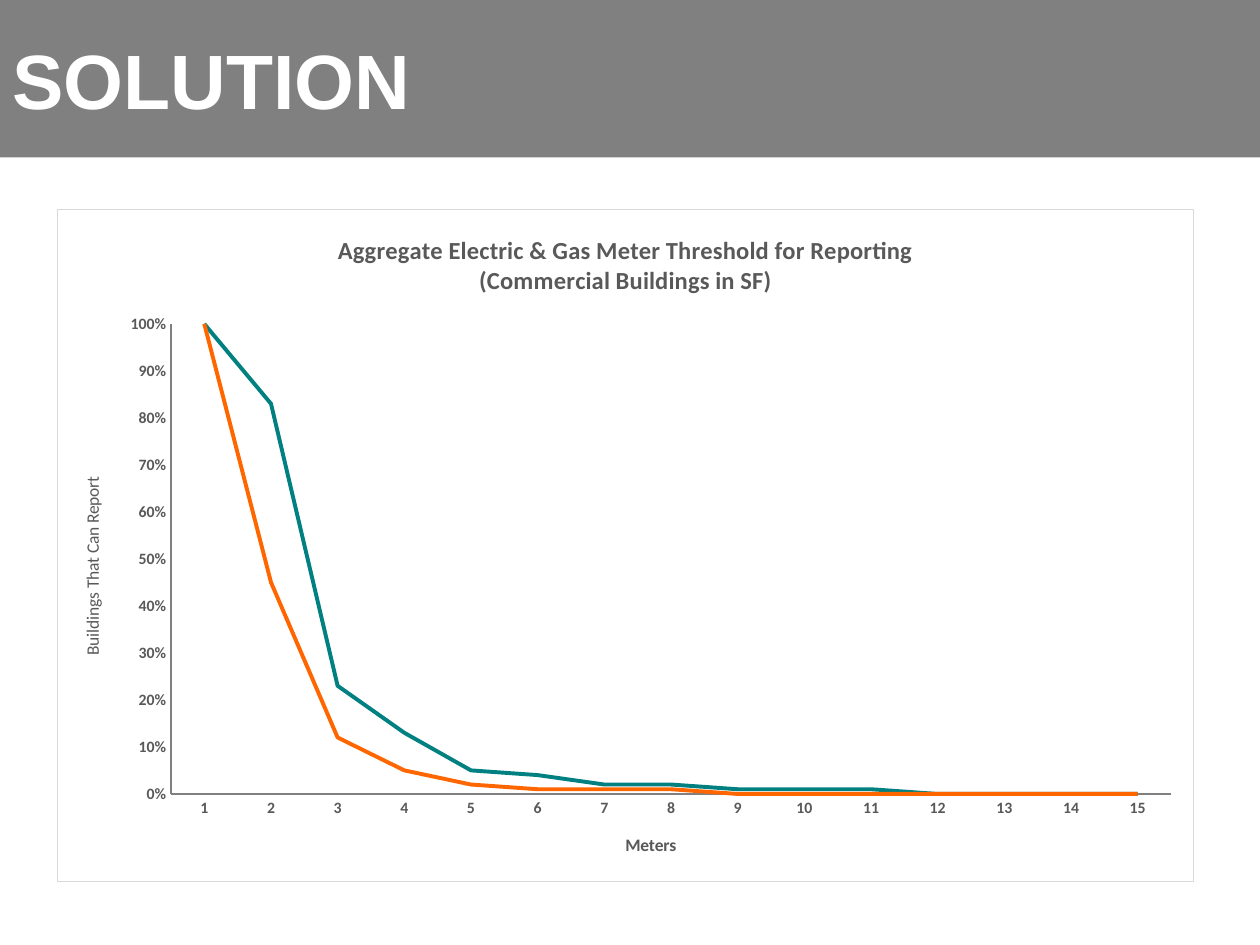
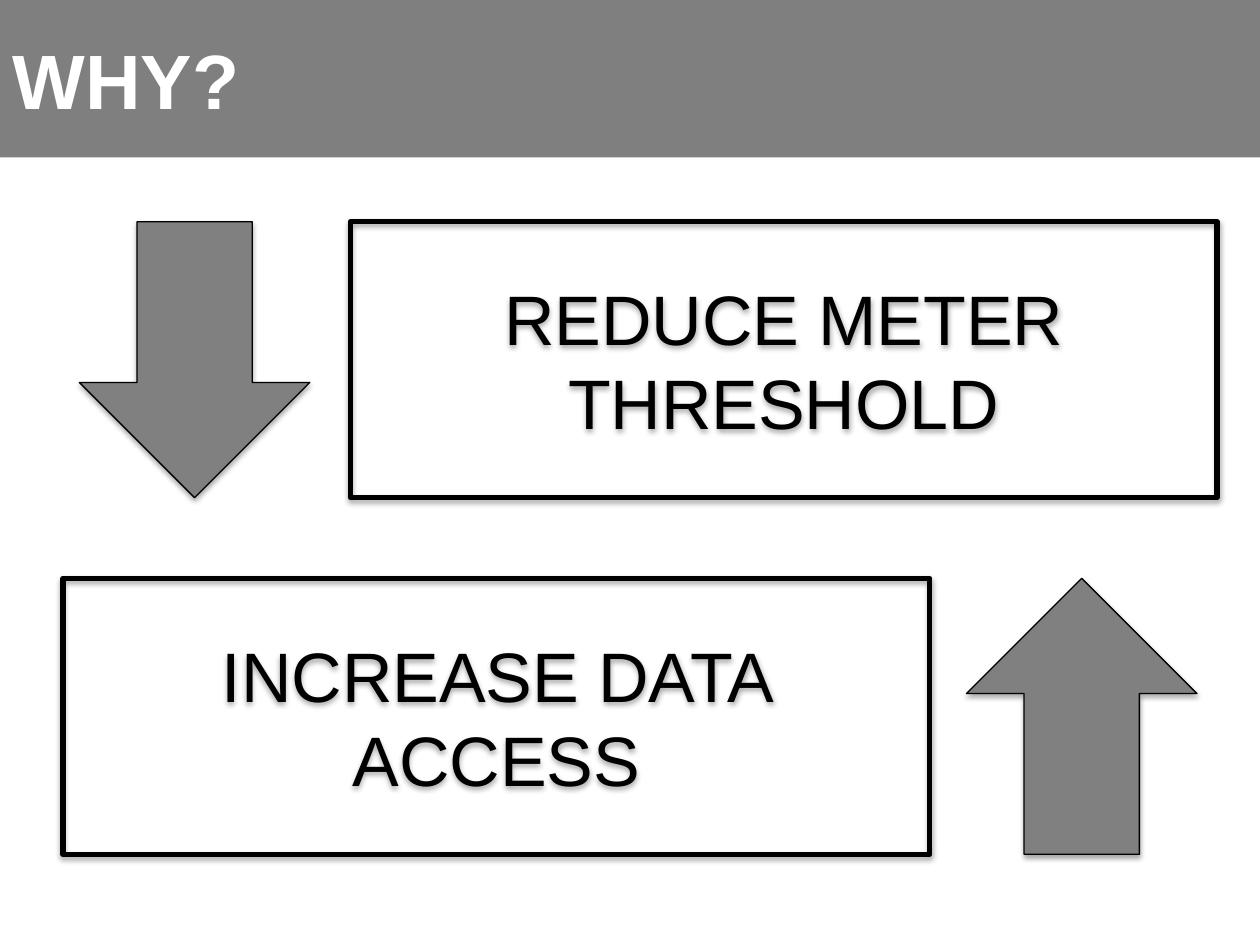
import pptx
import pptx.chart.data
import pptx.dml.color
import pptx.enum.chart
import pptx.enum.shapes
import pptx.enum.text
import pptx.oxml
import pptx.oxml.ns
import pptx.util
from pptx.util import Inches, Pt

COLORS = {
    "band": "808080", "why_band": "7F7F7F", "white": "FFFFFF", "black": "000000",
    "chart_text": "595959", "border": "D9D9D9", "teal": "008080", "orange": "FF6600",
}

CHART_TITLE = "Aggregate Electric & Gas Meter Threshold for Reporting\n(Commercial Buildings in SF)"
METERS = [str(count) for count in range(1, 16)]
SERIES = [
    ("Series 1", "teal", [1, .83, .23, .13, .05, .04, .02, .02, .01, .01, .01, 0, 0, 0, 0]),
    ("Series 2", "orange", [1, .45, .12, .05, .02, .01, .01, .01, 0, 0, 0, 0, 0, 0, 0]),
]
CHART_BOX = (0.45, 1.66, 9.03, 5.34)
PLOT_LAYOUT = {"x": 0.10, "y": 0.17, "w": 0.88, "h": 0.70}

# Message, top, message left, arrow left, arrow rotation
REASONS = [
    ("REDUCE METER THRESHOLD", 1.76, 2.78, 0.63, 0),
    ("INCREASE DATA ACCESS", 4.59, 0.5, 7.67, 180),
]
ROW_HEIGHT, MESSAGE_WIDTH, ARROW_WIDTH = 2.19, 6.88, 1.83


def rgb(name):
    return pptx.dml.color.RGBColor.from_string(COLORS[name])


def set_font(font, size, color, bold=False, name="Arial"):
    font.size, font.bold, font.name = Pt(size), bold, name
    font.color.rgb = rgb(color)


def paint(target, color):
    target.fill.solid()
    target.fill.fore_color.rgb = rgb(color)


def set_line(line, color, width):
    line.color.rgb = rgb(color)
    line.width = Pt(width)


def box(left, top, width, height):
    return Inches(left), Inches(top), Inches(width), Inches(height)


def xml(text):
    """Parse one element that may use the a: and c: prefixes."""
    tag, rest = text[1:].split(">", 1)
    return pptx.oxml.parse_xml(f"<{tag} {pptx.oxml.ns.nsdecls('a', 'c')}>{rest}")


def add_titled_slide(presentation, title, band):
    slide = presentation.slides.add_slide(presentation.slide_layouts[5])
    shape = slide.shapes.title
    shape.left, shape.top, shape.width, shape.height = box(0, 0, 10, 1.25)
    paint(shape, band)
    frame = shape.text_frame
    frame.text = title
    frame.vertical_anchor = pptx.enum.text.MSO_ANCHOR.MIDDLE
    frame.paragraphs[0].alignment = pptx.enum.text.PP_ALIGN.LEFT
    set_font(frame.paragraphs[0].runs[0].font, 44, "white", True)
    return slide


def set_chart_text(frame, text, size, bold):
    frame.text = text
    for paragraph in frame.paragraphs:
        for run in paragraph.runs:
            set_font(run.font, size, "chart_text", bold, "Calibri")


def style_axis(axis, title, bold_title):
    axis.has_major_gridlines = False
    axis.major_tick_mark = axis.minor_tick_mark = pptx.enum.chart.XL_TICK_MARK.NONE
    set_line(axis.format.line, "band", 1.5)
    set_font(axis.tick_labels.font, 9, "chart_text", True, "Calibri")
    set_chart_text(axis.axis_title.text_frame, title, 10, bold_title)


def frame_chart(chart):
    """Fix the plot position and give the chart a square, thin border."""
    space = chart.element
    plot_area = space.chart.plotArea
    for layout in plot_area.findall(pptx.oxml.ns.qn("c:layout")):
        plot_area.remove(layout)
    modes = '<c:layoutTarget val="inner"/><c:xMode val="edge"/><c:yMode val="edge"/>'
    places = "".join(f'<c:{key} val="{value}"/>' for key, value in PLOT_LAYOUT.items())
    plot_area.insert(0, xml(f"<c:layout><c:manualLayout>{modes}{places}</c:manualLayout></c:layout>"))
    corners = xml("<c:roundedCorners></c:roundedCorners>")
    corners.set("val", "0")
    for old in space.findall(pptx.oxml.ns.qn("c:roundedCorners")):
        space.remove(old)
    space.find(pptx.oxml.ns.qn("c:date1904")).addnext(corners)
    fill, border = (f'<a:solidFill><a:srgbClr val="{COLORS[name]}"/></a:solidFill>'
                    for name in ("white", "border"))
    space.chart.addnext(xml(f'<c:spPr>{fill}<a:ln w="{Pt(0.75)}">{border}</a:ln></c:spPr>'))


def add_threshold_chart(slide):
    data = pptx.chart.data.CategoryChartData(number_format="0%")
    data.categories = METERS
    for name, _, values in SERIES:
        data.add_series(name, values)
    chart = slide.shapes.add_chart(
        pptx.enum.chart.XL_CHART_TYPE.LINE, *box(*CHART_BOX), data).chart
    set_font(chart.font, 10, "black", name="Calibri")
    chart.has_legend = False
    chart.has_title = True
    set_chart_text(chart.chart_title.text_frame, CHART_TITLE, 14, True)
    chart.plots[0].vary_by_categories = False
    for series, (_, color, _) in zip(chart.plots[0].series, SERIES):
        series.smooth = False
        series.marker.style = pptx.enum.chart.XL_MARKER_STYLE.NONE
        set_line(series.format.line, color, 2.25)
    style_axis(chart.category_axis, "Meters", True)
    style_axis(chart.value_axis, "Buildings That Can Report", False)
    value_axis = chart.value_axis
    value_axis.minimum_scale, value_axis.maximum_scale, value_axis.major_unit = 0, 1, 0.1
    value_axis.tick_labels.number_format = "0%"
    value_axis.tick_labels.number_format_is_linked = False
    frame_chart(chart)


def add_shadowed_shape(slide, kind, place, line_width):
    shape = slide.shapes.add_shape(kind, *box(*place))
    set_line(shape.line, "black", line_width)
    shape.shadow.inherit = False
    effects = shape.element.spPr.find(pptx.oxml.ns.qn("a:effectLst"))
    effects.append(xml(
        f'<a:outerShdw blurRad="{Pt(3.1)}" dist="{Pt(1.8)}" dir="5400000" rotWithShape="0">'
        f'<a:srgbClr val="{COLORS["black"]}"><a:alpha val="35000"/></a:srgbClr></a:outerShdw>'))
    return shape


def add_reason(slide, message, top, message_left, arrow_left, rotation):
    shapes = pptx.enum.shapes.MSO_SHAPE
    arrow = add_shadowed_shape(
        slide, shapes.DOWN_ARROW, (arrow_left, top, ARROW_WIDTH, ROW_HEIGHT), 0.75)
    paint(arrow, "band")
    arrow.rotation = rotation
    panel = add_shadowed_shape(
        slide, shapes.RECTANGLE, (message_left, top, MESSAGE_WIDTH, ROW_HEIGHT), 3)
    panel.fill.background()
    frame = panel.text_frame
    frame.text = message
    frame.word_wrap = True
    frame.vertical_anchor = pptx.enum.text.MSO_ANCHOR.MIDDLE
    frame.paragraphs[0].alignment = pptx.enum.text.PP_ALIGN.CENTER
    set_font(frame.paragraphs[0].runs[0].font, 40, "black")


def main():
    presentation = pptx.Presentation()
    presentation.slide_width, presentation.slide_height = Inches(10), Inches(7.5)
    add_threshold_chart(add_titled_slide(presentation, "SOLUTION", "band"))
    why_slide = add_titled_slide(presentation, "WHY?", "why_band")
    for reason in REASONS:
        add_reason(why_slide, *reason)
    presentation.save("out.pptx")


if __name__ == "__main__":
    main()
